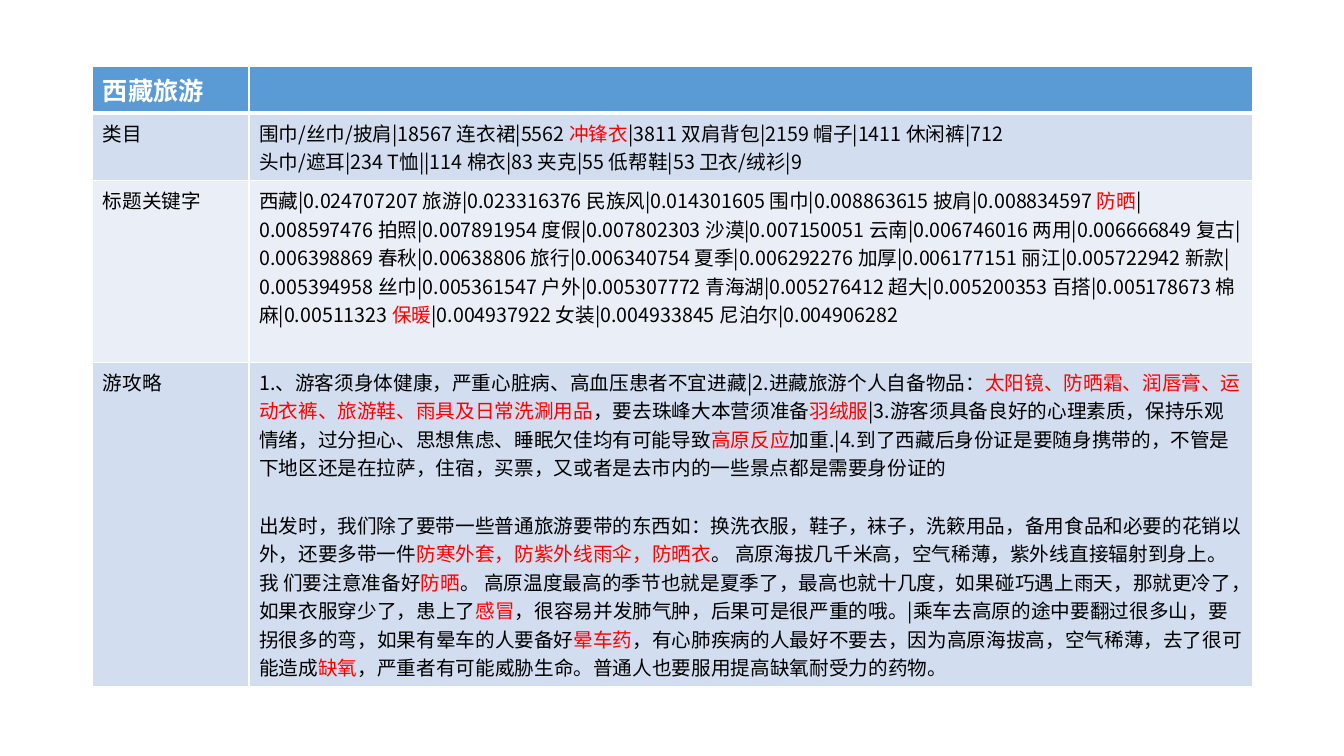
from lxml import etree
from pptx import Presentation
from pptx.dml.color import RGBColor
from pptx.oxml.ns import qn
from pptx.util import Inches, Pt

FONT = "Noto Sans CJK SC"
WHITE = RGBColor(0xFF, 0xFF, 0xFF)
BLACK = RGBColor(0x00, 0x00, 0x00)
RED = RGBColor(0xFF, 0x00, 0x00)
HEADER_BLUE = RGBColor(0x5B, 0x9B, 0xD5)
BAND_DARK = RGBColor(0xD2, 0xDE, 0xEF)
BAND_LIGHT = RGBColor(0xEA, 0xEF, 0xF7)

# Words between asterisks are highlighted in red.
CATEGORIES = [
    "围巾/丝巾/披肩|18567 连衣裙|5562 *冲锋衣*|3811 双肩背包|2159 帽子|1411 休闲裤|712",
    "头巾/遮耳|234 T恤||114 棉衣|83 夹克|55 低帮鞋|53 卫衣/绒衫|9",
]
KEYWORDS = [
    "西藏|0.024707207 旅游|0.023316376 民族风|0.014301605 围巾|0.008863615 "
    "披肩|0.008834597 *防晒*|0.008597476 拍照|0.007891954 度假|0.007802303 "
    "沙漠|0.007150051 云南|0.006746016 两用|0.006666849 复古|0.006398869 "
    "春秋|0.00638806 旅行|0.006340754 夏季|0.006292276 加厚|0.006177151 "
    "丽江|0.005722942 新款|0.005394958 丝巾|0.005361547 户外|0.005307772 "
    "青海湖|0.005276412 超大|0.005200353 百搭|0.005178673 棉麻|0.00511323 "
    "*保暖*|0.004937922 女装|0.004933845 尼泊尔|0.004906282",
]
TRAVEL_TIPS = [
    "1.、游客须身体健康，严重心脏病、高血压患者不宜进藏|2.进藏旅游个人自备物品："
    "*太阳镜、防晒霜、润唇膏、运动衣裤、旅游鞋、雨具及日常洗涮用品*，"
    "要去珠峰大本营须准备*羽绒服*|3.游客须具备良好的心理素质，保持乐观情绪，"
    "过分担心、思想焦虑、睡眠欠佳均有可能导致*高原反应*加重."
    "|4.到了西藏后身份证是要随身携带的，不管是下地区还是在拉萨，住宿，买票，"
    "又或者是去市内的一些景点都是需要身份证的",
    "出发时，我们除了要带一些普通旅游要带的东西如：换洗衣服，鞋子，袜子，洗簌用品，"
    "备用食品和必要的花销以外，还要多带一件*防寒外套，防紫外线雨伞，防晒衣*。 "
    "高原海拔几千米高，空气稀薄，紫外线直接辐射到身上。我 们要注意准备好*防晒*。 "
    "高原温度最高的季节也就是夏季了，最高也就十几度，如果碰巧遇上雨天，那就更冷了，"
    "如果衣服穿少了，患上了*感冒*，很容易并发肺气肿，后果可是很严重的哦。"
    "|乘车去高原的途中要翻过很多山，要拐很多的弯，如果有晕车的人要备好*晕车药*，"
    "有心肺疾病的人最好不要去，因为高原海拔高，空气稀薄，去了很可能造成*缺氧*，"
    "严重者有可能威胁生命。普通人也要服用提高缺氧耐受力的药物。",
]

# Label, paragraphs, gap before later paragraphs (pt), row height (in), fill
ROWS = [
    ("西藏旅游", [], 0, 0.44, HEADER_BLUE),
    ("类目", CATEGORIES, 0, 0.67, BAND_DARK),
    ("标题关键字", KEYWORDS, 0, 1.8, BAND_LIGHT),
    ("游攻略", TRAVEL_TIPS, 20.5, 3.2, BAND_DARK),
]


def style_cell(cell, fill, bottom_width):
    """Fill the cell and give it white borders, 1 pt except at the bottom."""
    properties = cell._tc.get_or_add_tcPr()
    for side, width in (("L", 1), ("R", 1), ("T", 1), ("B", bottom_width)):
        border = etree.SubElement(properties, qn(f"a:ln{side}"), w=str(Pt(width)))
        border_fill = etree.SubElement(border, qn("a:solidFill"))
        etree.SubElement(border_fill, qn("a:srgbClr"), val=str(WHITE))
    cell.fill.solid()
    cell.fill.fore_color.rgb = fill


def write_cell(cell, paragraphs, gap, size, color, bold):
    """Write the paragraphs, turning the parts between asterisks red."""
    frame = cell.text_frame
    for number, text in enumerate(paragraphs):
        paragraph = frame.add_paragraph() if number else frame.paragraphs[0]
        if number and gap:
            paragraph.space_before = Pt(gap)
        for index, part in enumerate(text.split("*")):
            run = paragraph.add_run()
            run.text = part
            run.font.size = Pt(size)
            run.font.bold = bold
            run.font.name = FONT
            run.font.color.rgb = RED if index % 2 else color
            etree.SubElement(run.font._element, qn("a:ea"), typeface=FONT)


prs = Presentation()
prs.slide_width = Inches(13.33)
prs.slide_height = Inches(7.5)
slide = prs.slides.add_slide(prs.slide_layouts[6])

travel_table = slide.shapes.add_table(
    len(ROWS), 2, Inches(0.92), Inches(0.66), Inches(11.5), Inches(6.11)
).table
travel_table.columns[0].width = Inches(1.55)
travel_table.columns[1].width = Inches(9.95)

for row_index, (label, details, gap, height, fill) in enumerate(ROWS):
    is_header = row_index == 0
    size, color = (18, WHITE) if is_header else (14, BLACK)
    travel_table.rows[row_index].height = Inches(height)
    for column, paragraphs in enumerate(([label], details)):
        cell = travel_table.cell(row_index, column)
        style_cell(cell, fill, 3 if is_header else 1)
        write_cell(cell, paragraphs, gap, size, color, is_header)

prs.save("out.pptx")
